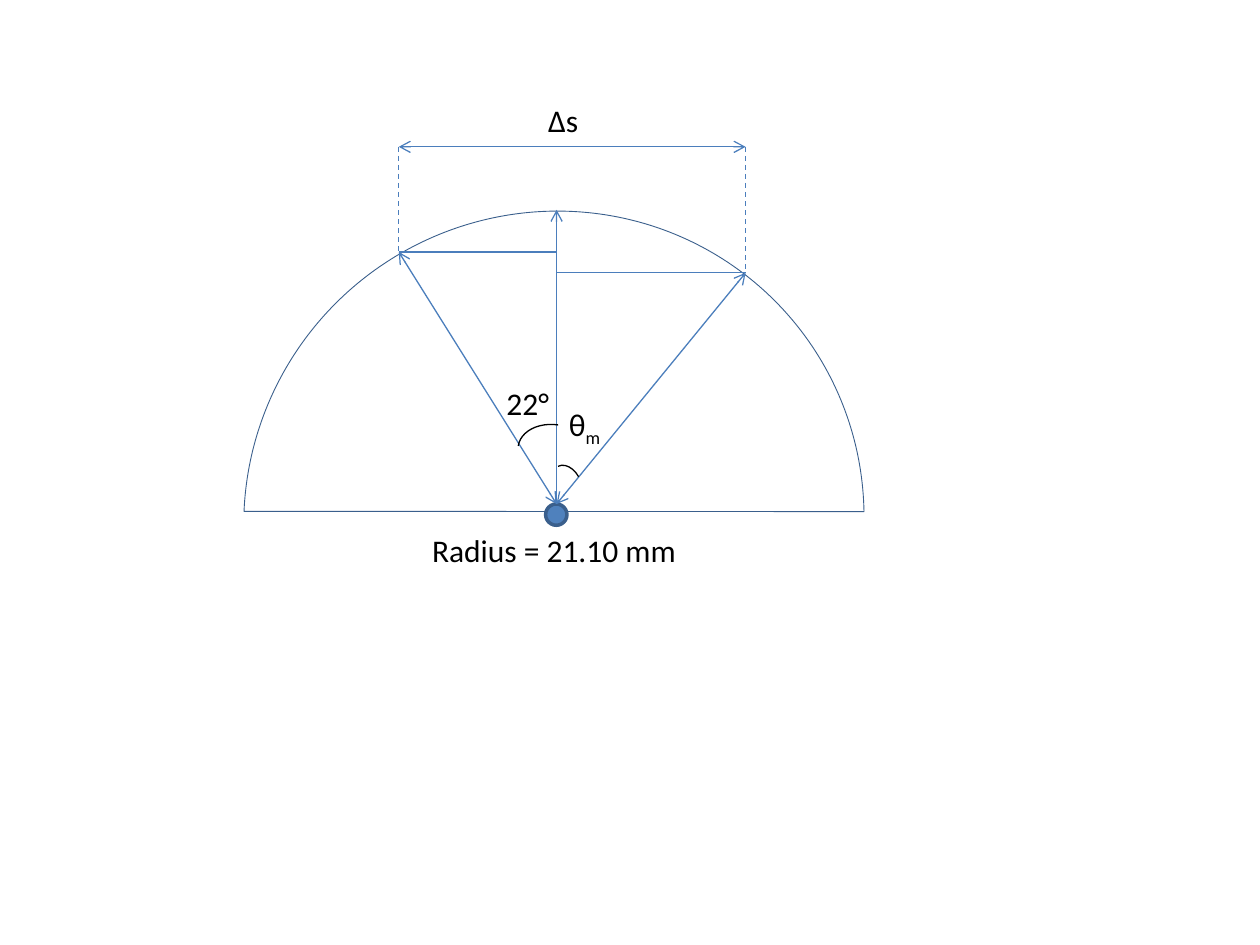
from pptx import Presentation
from pptx.dml.color import RGBColor
from pptx.enum.dml import MSO_LINE
from pptx.enum.shapes import MSO_CONNECTOR, MSO_SHAPE
from pptx.enum.text import MSO_AUTO_SIZE
from pptx.oxml.ns import qn
from pptx.util import Cm, Pt
from lxml.etree import SubElement

WHITE = RGBColor(0xFF, 0xFF, 0xFF)
BLACK = RGBColor(0x00, 0x00, 0x00)
BLUE = RGBColor(0x4F, 0x81, 0xBD)
LINE_BLUE = RGBColor(0x4B, 0x7E, 0xBC)
OUTLINE_BLUE = RGBColor(0x3A, 0x5F, 0x8C)

PIVOT = (11.22, 10.16)
APEX = (11.22, 4.23)
LEFT_POINT = (8.04, 5.08)
RIGHT_POINT = (15.03, 5.5)
DIMENSION_TOP = 2.96


def add_outline(page, kind, position, color, width, fill=None, rotation=0):
    shape = page.shapes.add_shape(kind, *[Cm(value) for value in position])
    shape.shadow.inherit = False
    shape.rotation = rotation
    shape.line.color.rgb = color
    shape.line.width = Pt(width)
    if fill is None:
        shape.fill.background()
    else:
        shape.fill.solid()
        shape.fill.fore_color.rgb = fill
    return shape


def add_angle_arc(page, position, rotation):
    arc = add_outline(page, MSO_SHAPE.ARC, position, BLACK, 0.75, rotation=rotation)
    arc._element.spPr.find(qn("a:xfrm")).set("flipH", "1")


def add_line(page, start, end, arrows=(), dashed=False):
    line = page.shapes.add_connector(
        MSO_CONNECTOR.STRAIGHT, *[Cm(value) for value in (*start, *end)]
    )
    line.line.color.rgb = LINE_BLUE
    line.line.width = Pt(0.75)
    if dashed:
        line.line.dash_style = MSO_LINE.DASH
    outline = line.line._get_or_add_ln()
    for arrow in arrows:
        SubElement(outline, qn(f"a:{arrow}"), type="arrow")
    SubElement(line._element.spPr, qn("a:effectLst"))


def add_label(page, left, top, width, text, subscript=""):
    box = page.shapes.add_textbox(Cm(left), Cm(top), Cm(width), Cm(1.02))
    frame = box.text_frame
    frame.text = text
    frame.word_wrap = False
    frame.auto_size = MSO_AUTO_SIZE.SHAPE_TO_FIT_TEXT
    paragraph = frame.paragraphs[0]
    if subscript:
        span = paragraph.add_run()
        span.text = subscript
        span.font._element.set("baseline", "-25000")
    for span in paragraph.runs:
        span.font.name = "Calibri"
        span.font.size = Pt(18)
        span.font.color.rgb = BLACK


def add_semicircle(page):
    chord = add_outline(
        page, MSO_SHAPE.CHORD, (4.88, 4.29, 12.57, 12.42), OUTLINE_BLUE, 0.5, WHITE, 138.5
    )
    chord.adjustments[0] = 25.95
    chord.adjustments[1] = 131.88


def add_rays(page):
    both_ends = ("headEnd", "tailEnd")
    add_line(page, PIVOT, APEX, ("tailEnd",))
    for point in (LEFT_POINT, RIGHT_POINT):
        x, y = point
        add_line(page, PIVOT, point, both_ends)
        add_line(page, point, (PIVOT[0], y))
        add_line(page, (x, DIMENSION_TOP), point, dashed=True)
    add_line(
        page, (LEFT_POINT[0], DIMENSION_TOP), (RIGHT_POINT[0], DIMENSION_TOP), both_ends
    )


def main():
    deck = Presentation()
    deck.slide_width, deck.slide_height = Cm(25.4), Cm(19.05)
    page = deck.slides.add_slide(deck.slide_layouts[6])

    add_semicircle(page)
    add_outline(page, MSO_SHAPE.OVAL, (11, 10.16, 0.43, 0.43), OUTLINE_BLUE, 2, BLUE)
    add_label(page, 9.96, 7.62, 1.37, "22°")
    add_label(page, 11.22, 8.05, 1.19, "θ", "m")
    add_rays(page)
    add_label(page, 10.8, 1.91, 1.12, "∆s")
    add_label(page, 8.46, 10.58, 5.49, "Radius = 21.10 mm")
    add_angle_arc(page, (10.44, 8.56, 1.47, 1.07), 8.3)
    add_angle_arc(page, (11.05, 9.47, 0.76, 0.53), 61.7)

    deck.save("out.pptx")


if __name__ == "__main__":
    main()
